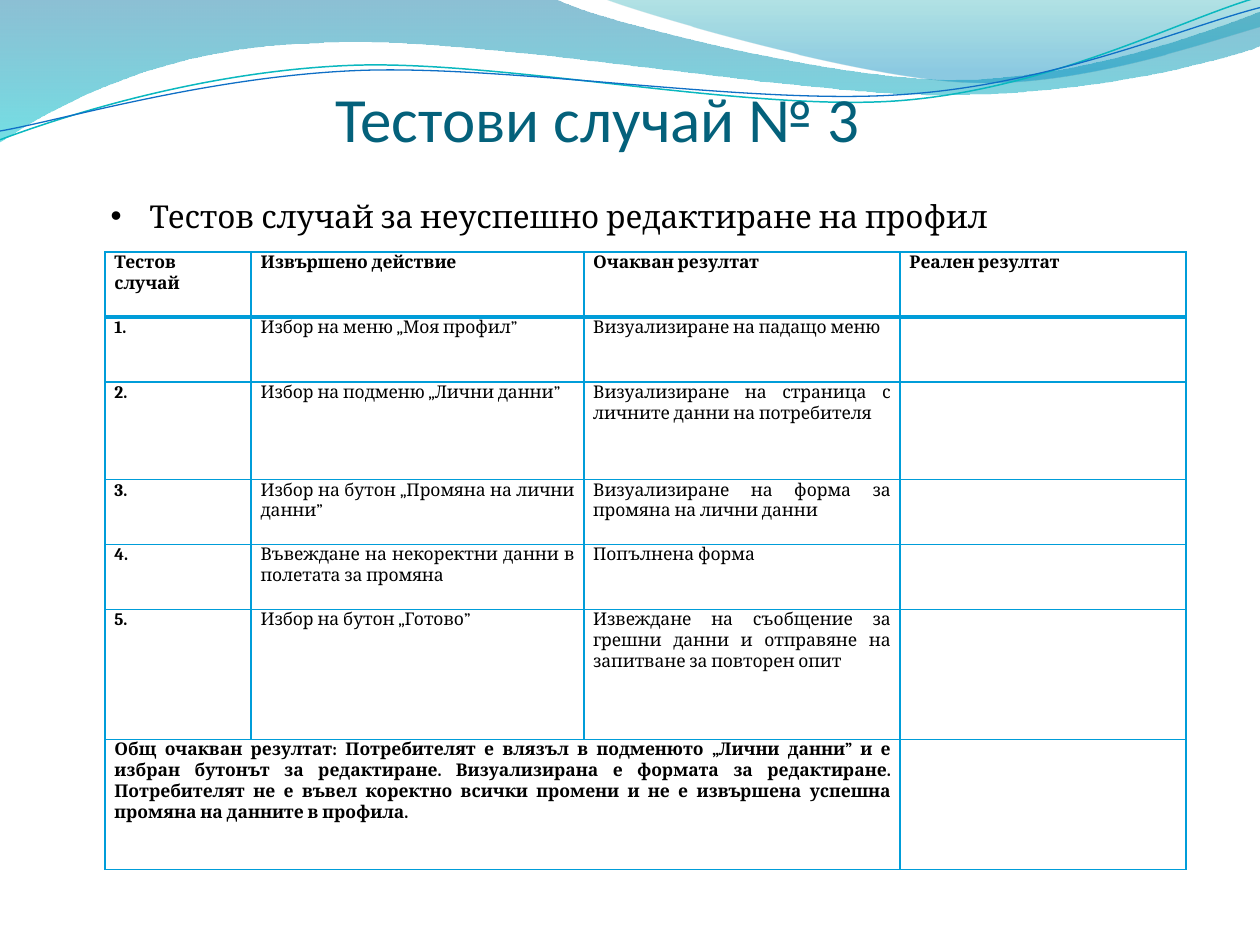
from math import cos, radians, sin

from lxml.etree import SubElement
from pptx import Presentation
from pptx.dml.color import RGBColor
from pptx.enum.text import MSO_ANCHOR, PP_ALIGN
from pptx.oxml.ns import qn
from pptx.util import Inches, Pt

WIDTH, HEIGHT = 10, 7.5
TILT = 2.7
COLORS = {
    "title": "04617B", "text": "000000", "grid": "009DD9",
    "deep": "0074A1", "aqua": "00C6CF", "teal": "00A1A9", "sky": "008BBF",
    "green": "0AB8BF", "blue": "0F6FC6",
}

# Each outline is a start point and segments: two numbers draw a line, six a cubic curve.
BANDS = [
    ((-0.01, -0.01, 10.02, 1.14),
     [(0, 0), (4.4, -0.01), (4.76, 0.17, 6.64, 0.63, 7.58, 0.63),
      (8.53, 0.63, 9.58, 0.26, 10, 0.09), (10.01, 0.36),
      (9.83, 0.44, 8.7, 0.76, 7.46, 0.75), (6.22, 0.75, 3.82, 0.28, 2.57, 0.34),
      (1.29, 0.36, 0.46, 0.83, -0.01, 1.13), (0, 0)],
     [(0, "deep", 45), (1, "aqua", 55)]),
    ((4.79, -0.01, 5.21, 0.7),
     [(4.79, -0.01), (5.09, 0.11, 6.82, 0.62, 7.69, 0.65),
      (8.56, 0.69, 9.61, 0.32, 10, 0.21), (10, 0), (4.79, -0.01)],
     [(0, "teal", 30), (0.8, "sky", 45)]),
]
STRANDS = [
    ((-0.02, 0.22, 10.02, 0.71),
     [(0, 1.11), (0.48, 0.93, 1.58, 0.57, 2.77, 0.52),
      (3.95, 0.47, 5.93, 0.89, 7.13, 0.8), (8.33, 0.71, 9.38, 0.15, 9.98, -0.02)],
     "green", 0.85),
    ((-0.02, 0.3, 10.03, 0.58),
     [(0, 1.04), (0.47, 0.96, 1.64, 0.61, 2.83, 0.56),
      (4.03, 0.51, 5.97, 0.84, 7.17, 0.75), (8.36, 0.67, 9.41, 0.21, 10, 0.06)],
     "blue", 0.75),
]

COLS = [1.16, 2.64, 2.51, 2.27]
ROWS = [2, 2, 3, 2, 2, 4, 4]
CASES = [
    ["Тестов случай", "Извършено действие", "Очакван резултат", "Реален резултат"],
    ["1.", "Избор на меню „Моя профил”", "Визуализиране на падащо меню"],
    ["2.", "Избор на подменю „Лични данни”",
     "Визуализиране на страница с личните данни на потребителя"],
    ["3.", "Избор на бутон „Промяна на лични данни”",
     "Визуализиране на форма за промяна на лични данни"],
    ["4.", "Въвеждане на некоректни данни в полетата за промяна", "Попълнена форма"],
    ["5.", "Избор на бутон „Готово”",
     "Извеждане на съобщение за грешни данни и отправяне на запитване за повторен опит"],
    ["Общ очакван резултат: Потребителят е влязъл в подменюто „Лични данни” и е "
     "избран бутонът за редактиране. Визуализирана е формата за редактиране. "
     "Потребителят не е въвел коректно всички промени и не е извършена успешна "
     "промяна на данните в профила."],
]


def color(name):
    return RGBColor.from_string(COLORS[name])


def style(part, size, face, tone, bold=False):
    for run in part.runs:
        font = run.font
        font.size, font.name, font.bold = Pt(size), face, bold
        font.color.rgb = color(tone)


def pad(frame, left, top, right, bottom):
    frame.margin_left, frame.margin_top = Inches(left), Inches(top)
    frame.margin_right, frame.margin_bottom = Inches(right), Inches(bottom)


def place(shape, box):
    shape.left, shape.top, shape.width, shape.height = map(Inches, box)


def local(point, box, tilt):
    """Map a slide point into the box as it lies before it is tilted."""
    left, top, width, height = box
    dx, dy = point[0] - left - width / 2, point[1] - top - height / 2
    turn = radians(tilt)
    return (Inches(dx * cos(turn) - dy * sin(turn) + width / 2),
            Inches(dx * sin(turn) + dy * cos(turn) + height / 2))


def draw(slide, box, outline, close, tilt=0):
    """Build a freeform whose segments are true lines and cubic curves."""
    pen = slide.shapes.build_freeform(scale=Inches(1))
    pen.add_line_segments([(1, 1)], close=False)
    shape = pen.convert_to_shape()
    shape.shadow.inherit = False
    place(shape, box)
    shape.rotation = -tilt
    track = next(shape._element.iter(qn("a:path")))
    for step in list(track):
        track.remove(step)
    track.set("w", str(Inches(box[2])))
    track.set("h", str(Inches(box[3])))
    for index, seg in enumerate(outline):
        kind = "moveTo" if index == 0 else "lnTo" if len(seg) == 2 else "cubicBezTo"
        step = SubElement(track, qn(f"a:{kind}"))
        for point in zip(seg[::2], seg[1::2]):
            x, y = local(point, box, tilt)
            SubElement(step, qn("a:pt"), x=str(x), y=str(y))
    if close:
        SubElement(track, qn("a:close"))
    return shape


def add_waves(slide):
    for box, outline, stops in BANDS:
        band = draw(slide, box, outline, True)
        band.line.fill.background()
        band.fill.gradient()
        band.fill.gradient_angle = 270
        for stop, (spot, name, _) in zip(band.fill.gradient_stops, stops):
            stop.position, stop.color.rgb = spot, color(name)
        tones = band._element.spPr.iter(qn("a:srgbClr"))
        for tone, (_, _, share) in zip(tones, stops):
            SubElement(tone, qn("a:alpha"), val=str(share * 1000))
    for box, outline, name, width in STRANDS:
        strand = draw(slide, box, outline, False, TILT)
        strand.fill.background()
        strand.line.color.rgb, strand.line.width = color(name), Pt(width)


def add_title(slide, box):
    title = slide.shapes.title
    place(title, box)
    slide.shapes._spTree.append(title._element)
    frame = title.text_frame
    frame.text = "Тестови случай № 3"
    frame.vertical_anchor = MSO_ANCHOR.BOTTOM
    pad(frame, 0, 0.05, 0.13, 0.6)
    part = frame.paragraphs[0]
    part.alignment = PP_ALIGN.CENTER
    style(part, 36, "Calibri", "title")


def add_bullet(slide, box):
    frame = slide.shapes.add_textbox(*map(Inches, box)).text_frame
    frame.word_wrap = True
    frame.vertical_anchor = MSO_ANCHOR.BOTTOM
    pad(frame, 0.1, 0.05, 0.1, 0.06)
    frame.text = "Тестов случай за неуспешно редактиране на профил"
    part = frame.paragraphs[0]
    style(part, 18, "Cambria", "text")
    props = part._p.get_or_add_pPr()
    props.set("marL", str(Inches(0.31)))
    props.set("indent", str(-Inches(0.31)))
    SubElement(props, qn("a:buFont"), typeface="Arial")
    SubElement(props, qn("a:buChar"), char="•")


def add_edges(cell, row):
    props = cell._tc.get_or_add_tcPr()
    heavy = {(0, "B"), (1, "T")}
    for side in "LRTB":
        width = Pt(2 if (row, side) in heavy else 1)
        edge = SubElement(props, qn(f"a:ln{side}"), w=str(width))
        fill = SubElement(edge, qn("a:solidFill"))
        SubElement(fill, qn("a:srgbClr"), val=COLORS["grid"])


def add_table(slide, box):
    grid = slide.shapes.add_table(len(ROWS), len(COLS), *map(Inches, box)).table
    for col, share in zip(grid.columns, COLS):
        col.width = Inches(box[2] * share / sum(COLS))
    for line, share in zip(grid.rows, ROWS):
        line.height = Inches(box[3] * share / sum(ROWS))
    last = len(ROWS) - 1
    inset = 5.4 / 72
    for row, texts in enumerate(CASES):
        for col in range(len(COLS)):
            cell = grid.cell(row, col)
            add_edges(cell, row)
            cell.fill.background()
            pad(cell, inset, 0, inset, 0)
            if col < len(texts):
                cell.text = texts[col]
                part = cell.text_frame.paragraphs[0]
                part.alignment, part.line_spacing = PP_ALIGN.JUSTIFY, Pt(12)
                style(part, 10, "Cambria", "text", row == 0 or col == 0)
    grid.cell(last, 0).merge(grid.cell(last, 2))


def main():
    deck = Presentation()
    deck.slide_width, deck.slide_height = Inches(WIDTH), Inches(HEIGHT)
    slide = deck.slides.add_slide(deck.slide_layouts[5])
    add_waves(slide)
    add_bullet(slide, (0.78, 1.21, 7.5, 0.71))
    add_table(slide, (WIDTH / 12, 2, 8.58, 4.9))
    add_title(slide, (0.91, 0.58, 7.8, 1.25))
    deck.save("out.pptx")


if __name__ == "__main__":
    main()
